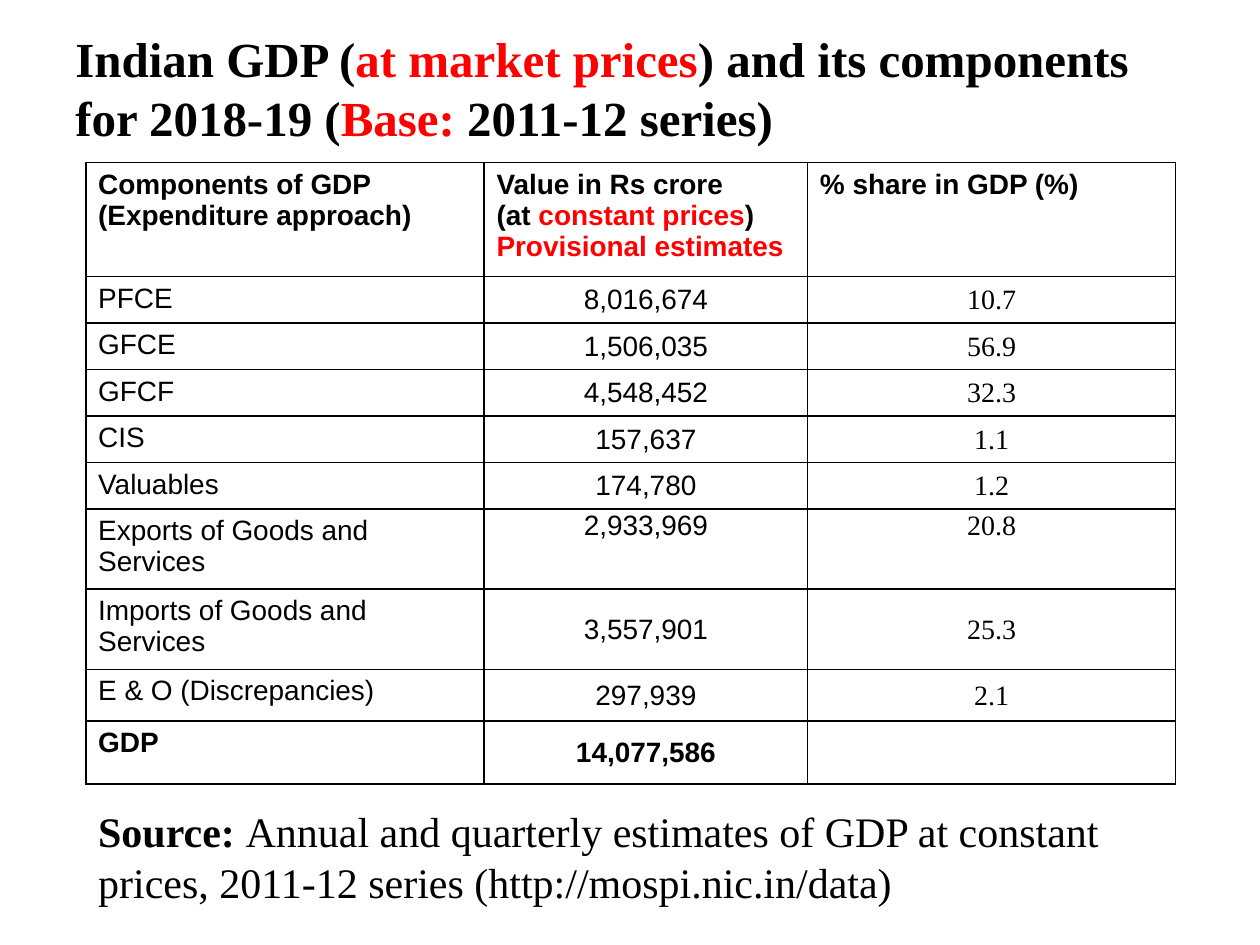
from lxml.etree import SubElement
from pptx import Presentation
from pptx.dml.color import RGBColor
from pptx.enum.text import MSO_ANCHOR as Anchor, PP_ALIGN as Align
from pptx.oxml.ns import qn
from pptx.util import Cm, Pt

BLACK = RGBColor(0, 0, 0)
RED = RGBColor(255, 0, 0)
SERIF, SANS = "Times New Roman", "Arial"

TITLE = [
    ("Indian GDP (", BLACK), ("at market prices", RED),
    (") and its components for 2018-19 (", BLACK), ("Base: ", RED),
    ("2011-12 series)", BLACK),
]
HEADERS = [
    [[("Components of GDP (Expenditure approach)", BLACK)]],
    [
        [("Value in Rs crore", BLACK)],
        [("(at ", BLACK), ("constant prices", RED), (")", BLACK)],
        [("Provisional estimates", RED)],
    ],
    [[("% share in GDP (%)", BLACK)]],
]
COMPONENTS = [
    ("PFCE", "8,016,674", "10.7"),
    ("GFCE", "1,506,035", "56.9"),
    ("GFCF", "4,548,452", "32.3"),
    ("CIS", "157,637", "1.1"),
    ("Valuables", "174,780", "1.2"),
    ("Exports of Goods and Services", "2,933,969", "20.8"),
    ("Imports of Goods and Services", "3,557,901", "25.3"),
    ("E & O (Discrepancies)", "297,939", "2.1"),
    ("GDP", "14,077,586", ""),
]
SOURCE_LABEL = "Source: "
SOURCE = ("Annual and quarterly estimates of GDP at constant prices, "
          "2011-12 series (http://mospi.nic.in/data)")

COLUMN_WIDTHS = [8.03, 6.52, 7.42]
ROW_HEIGHTS = [2.28, 0.93, 0.93, 0.93, 0.93, 0.87, 0.98, 1.06, 1.04, 1.27]
COLUMN_FONTS = [SANS, SANS, SERIF]
TOP_ALIGNED = "Exports of Goods and Services"
TOTAL = "GDP"

LABEL_CELL = dict(margin_left=Cm(0.25), margin_right=Cm(0.25),
                  margin_top=Cm(0.13), margin_bottom=Cm(0.13),
                  vertical_anchor=Anchor.TOP)
NUMBER_CELL = dict(margin_left=Cm(0.02), margin_right=Cm(0.02),
                   margin_top=Cm(0.02), margin_bottom=Cm(0),
                   vertical_anchor=Anchor.MIDDLE)


def set_values(target, values):
    for name, value in values.items():
        setattr(target, name, value)


def add_run(paragraph, text, color=BLACK, **font_values):
    run = paragraph.add_run()
    run.text = text
    set_values(run.font, font_values)
    run.font.color.rgb = color


def add_text_box(slide, left, top, anchor):
    box = slide.shapes.add_textbox(Cm(left), Cm(top), Cm(22.86), Cm(1.8))
    set_values(box.text_frame, dict(word_wrap=True, vertical_anchor=anchor))
    return box.text_frame.paragraphs[0]


def add_borders(cell):
    properties = cell._tc.get_or_add_tcPr()
    for side in ("lnL", "lnR", "lnT", "lnB"):
        line = SubElement(properties, qn(f"a:{side}"), w=str(Pt(1)))
        fill = SubElement(line, qn("a:solidFill"))
        SubElement(fill, qn("a:srgbClr"), val=str(BLACK))


def fill_cell(cell, paragraphs, cell_values, align, **font_values):
    add_borders(cell)
    cell.fill.background()
    set_values(cell, cell_values)
    frame = cell.text_frame
    for index, runs in enumerate(paragraphs):
        paragraph = frame.add_paragraph() if index else frame.paragraphs[0]
        paragraph.alignment = align
        for text, color in runs:
            if text:
                add_run(paragraph, text, color, size=Pt(16), **font_values)


def add_gdp_table(slide):
    frame = slide.shapes.add_table(
        len(ROW_HEIGHTS), len(COLUMN_WIDTHS), Cm(1.73), Cm(3.28),
        Cm(sum(COLUMN_WIDTHS)), Cm(sum(ROW_HEIGHTS)))
    table = frame.table
    set_values(table, dict(first_row=False, horz_banding=False))
    for column, width in zip(table.columns, COLUMN_WIDTHS):
        column.width = Cm(width)
    for row, height in zip(table.rows, ROW_HEIGHTS):
        row.height = Cm(height)

    for column, paragraphs in enumerate(HEADERS):
        fill_cell(table.cell(0, column), paragraphs, LABEL_CELL, Align.LEFT,
                  name=SANS, bold=True)
    for row, component in enumerate(COMPONENTS, 1):
        label = component[0]
        for column, text in enumerate(component):
            cell_values = dict(NUMBER_CELL if column else LABEL_CELL)
            if label == TOP_ALIGNED:
                cell_values["vertical_anchor"] = Anchor.TOP
            fill_cell(table.cell(row, column), [[(text, BLACK)]], cell_values,
                      Align.CENTER if column else Align.LEFT,
                      name=COLUMN_FONTS[column], bold=label == TOTAL)


def main():
    presentation = Presentation()
    set_values(presentation, dict(slide_width=Cm(25.4), slide_height=Cm(19.05)))
    slide = presentation.slides.add_slide(presentation.slide_layouts[6])

    title = add_text_box(slide, 1.27, 0.46, Anchor.TOP)
    for text, color in TITLE:
        add_run(title, text, color, name=SERIF, size=Pt(28), bold=True)

    add_gdp_table(slide)

    source = add_text_box(slide, 1.73, 16.36, Anchor.MIDDLE)
    for text, bold in ((SOURCE_LABEL, True), (SOURCE, False)):
        add_run(source, text, name=SERIF, size=Pt(24), bold=bold)

    presentation.save("out.pptx")


if __name__ == "__main__":
    main()
